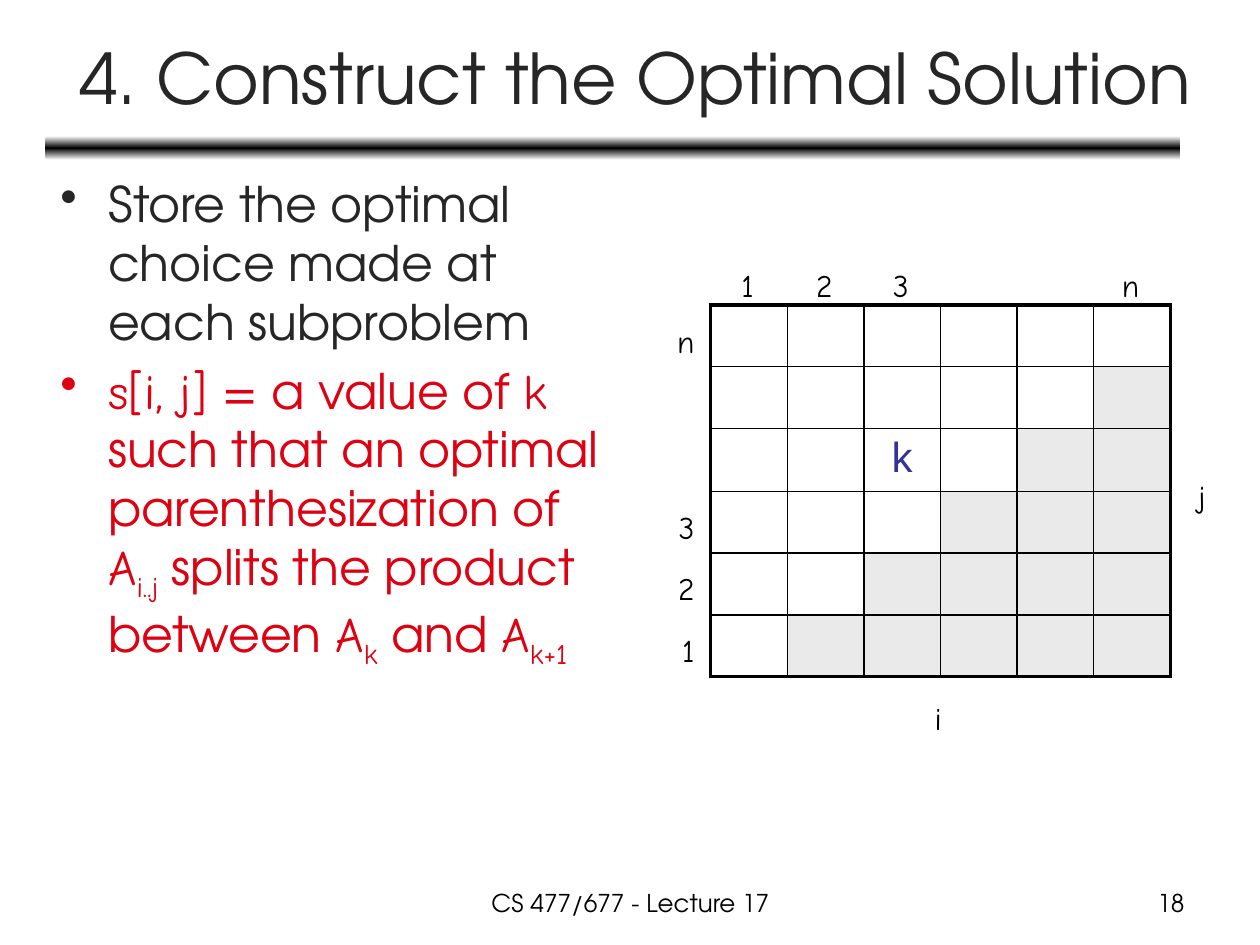
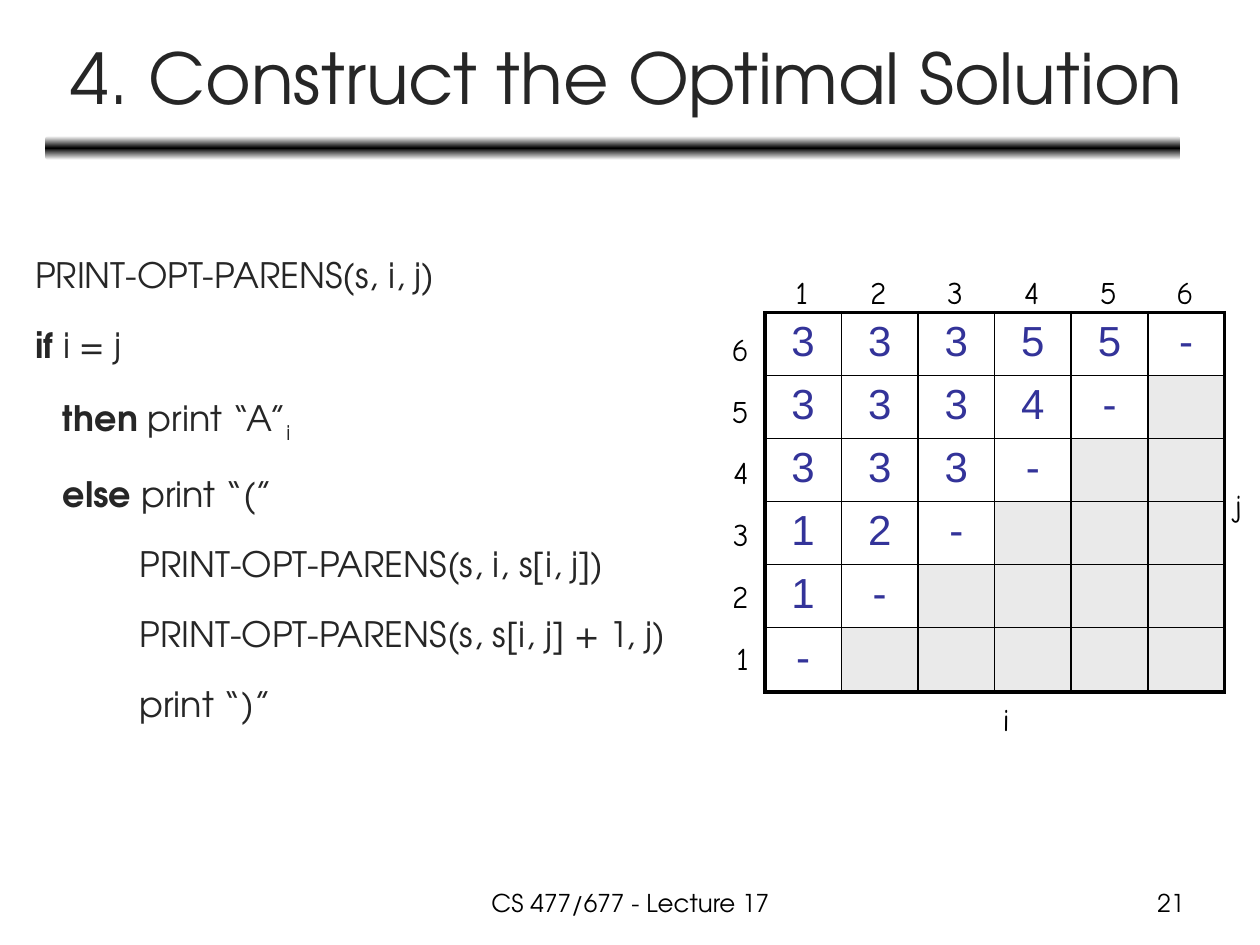
import copy
import dataclasses

import pptx
import pptx.dml.color
import pptx.enum.shapes
import pptx.enum.text
import pptx.oxml
import pptx.oxml.ns
import pptx.util

Inches = pptx.util.Inches
Pt = pptx.util.Pt
qn = pptx.oxml.ns.qn
Align = pptx.enum.text.PP_ALIGN
Anchor = pptx.enum.text.MSO_ANCHOR


@dataclasses.dataclass(frozen=True)
class Theme:
    main: str = "TeX Gyre Adventor"
    hand: str = "Comic Neue"
    plain: str = "Arial"
    ink: str = "262626"
    black: str = "000000"
    white: str = "FFFFFF"
    red: str = "DD0111"
    blue: str = "333399"
    gray: str = "EAEAEA"
    title: float = 40
    body: float = 28
    cell: float = 24
    code: float = 20
    label: float = 18
    foot: float = 14
    thick: float = 2.25
    thin: float = 1


T = Theme()
SIZE = 6
CELL_W = 0.608
CELL_H = 0.49


def rgb(code):
    return pptx.dml.color.RGBColor.from_string(code)


def add_run(para, text, font, size, color, bold=False, sub=False):
    run = para.add_run()
    run.text = text
    run.font.name = font
    run.font.size = Pt(size)
    run.font.color.rgb = rgb(color)
    run.font.bold = bold
    if sub:
        run._r.get_or_add_rPr().set("baseline", "-25000")


def add_box(slide, box):
    frame = slide.shapes.add_textbox(*map(Inches, box)).text_frame
    frame.word_wrap = True
    return frame


def add_line(slide, box, text, font, size, align):
    """Add a text box that holds one black run."""
    para = add_box(slide, box).paragraphs[0]
    para.alignment = align
    add_run(para, text, font, size, T.black)


def next_para(frame, index, gap):
    """Take the first paragraph, or add one with a gap above it."""
    if index == 0:
        return frame.paragraphs[0]
    para = frame.add_paragraph()
    para.space_before = Pt(gap)
    return para


def set_indent(para, left, first=0):
    props = para._p.get_or_add_pPr()
    props.set("marL", str(Inches(left)))
    props.set("indent", str(Inches(first)))
    return props


def add_band(slide, box):
    kind = pptx.enum.shapes.MSO_SHAPE.ROUNDED_RECTANGLE
    band = slide.shapes.add_shape(kind, *map(Inches, box))
    band.shadow.inherit = False
    band.line.fill.background()
    band.fill.gradient()
    band.fill.gradient_angle = 90
    stops = band._element.spPr.find(".//" + qn("a:gsLst"))
    stops.append(copy.deepcopy(stops[0]))
    shades = (T.white, T.black, T.white)
    for i, (stop, shade) in enumerate(zip(band.fill.gradient_stops, shades)):
        stop.position = i / 2
        stop.color.rgb = rgb(shade)


def add_page(deck, title, width, number):
    """Add a slide with its title, band and footer."""
    slide = deck.slides.add_slide(deck.slide_layouts[5])
    head = slide.shapes.title
    head.left, head.top = Inches(0.37), Inches(0.11)
    head.width, head.height = Inches(width), Inches(0.99)
    frame = head.text_frame
    frame.auto_size = pptx.enum.text.MSO_AUTO_SIZE.NONE
    frame.vertical_anchor = Anchor.MIDDLE
    frame.paragraphs[0].alignment = Align.CENTER
    add_run(frame.paragraphs[0], title, T.main, T.title, T.ink)
    add_band(slide, (0.36, 1.08, 9.01, 0.19))
    add_line(slide, (3.42, 7, 3.17, 0.35), "CS 477/677 - Lecture 17",
             T.main, T.foot, Align.CENTER)
    add_line(slide, (7.17, 7, 2.33, 0.35), str(number),
             T.main, T.foot, Align.RIGHT)
    return slide


def add_points(slide, box, points):
    """Add bullets, each a colour and its (text, font, sub) pieces."""
    frame = add_box(slide, box)
    for i, (color, pieces) in enumerate(points):
        para = next_para(frame, i, T.body * 0.2)
        props = set_indent(para, 0.38, -0.38)
        props.append(pptx.oxml.parse_xml(
            f'<a:buChar {pptx.oxml.ns.nsdecls("a")} char="•"/>'))
        for text, font, sub in pieces:
            add_run(para, text, font, T.body, color, sub=sub)


def add_code(slide, box, lines):
    """Add code lines, each an indent and its (text, style) pieces."""
    frame = add_box(slide, box)
    for i, (indent, pieces) in enumerate(lines):
        para = next_para(frame, i, T.code * 0.2)
        set_indent(para, indent)
        para.line_spacing = 1.5
        for text, style in pieces:
            add_run(para, text, T.main, T.code, T.ink,
                    bold=style == "bold", sub=style == "sub")


def set_edges(cell, row, col):
    """Draw thin cell borders, thick on the rim of the grid."""
    last = SIZE - 1
    rims = {"L": col == 0, "R": col == last, "T": row == 0, "B": row == last}
    props = cell._tc.get_or_add_tcPr()
    for side, rim in rims.items():
        width = Pt(T.thick if rim else T.thin)
        props.append(pptx.oxml.parse_xml(
            f'<a:ln{side} {pptx.oxml.ns.nsdecls("a")} w="{width}">'
            f'<a:solidFill><a:srgbClr val="{T.black}"/></a:solidFill>'
            f'</a:ln{side}>'))


def add_grid(slide, left, top, values, last=CELL_H):
    """Add the square grid, shaded below its diagonal."""
    height = CELL_H * (SIZE - 1) + last
    shape = slide.shapes.add_table(
        SIZE, SIZE, *map(Inches, (left, top, CELL_W * SIZE, height)))
    table = shape.table
    table.first_row = table.horz_banding = False
    for col in table.columns:
        col.width = Inches(CELL_W)
    for row in table.rows:
        row.height = Inches(CELL_H)
    table.rows[SIZE - 1].height = Inches(last)
    for row in range(SIZE):
        for col in range(SIZE):
            cell = table.cell(row, col)
            set_edges(cell, row, col)
            if row + col >= SIZE:
                cell.fill.solid()
                cell.fill.fore_color.rgb = rgb(T.gray)
            else:
                cell.fill.background()
            if (row, col) in values:
                para = cell.text_frame.paragraphs[0]
                para.alignment = Align.CENTER
                add_run(para, values[row, col], T.plain, T.cell, T.blue)


def add_marks(slide, left, top, marks, i_at, j_at):
    """Number the columns and rows of the grid and name its axes."""
    wide, high = 0.35, 0.4

    def mark(text, x, y, align):
        add_line(slide, (left + x, top + y, wide, high), text,
                 T.hand, T.label, align)

    for n, text in marks.items():
        mark(text, (n - 0.5) * CELL_W - wide / 2 - 0.01, -0.36, Align.CENTER)
        mark(text, -0.38, 0.09 + (SIZE - n) * CELL_H, Align.RIGHT)
    mark("i", *i_at, Align.LEFT)
    mark("j", *j_at, Align.LEFT)


def choice_slide(deck, title):
    slide = add_page(deck, title, 9.34, 18)
    main, hand = T.main, T.hand
    add_points(slide, (0.38, 1.33, 4.55, 5.55), [
        (T.ink, [("Store the optimal choice made at each subproblem",
                  main, False)]),
        (T.red, [("s[i, j] ", hand, False), ("= a value of ", main, False),
                 ("k", hand, False),
                 (" such that an optimal parenthesization of ", main, False),
                 ("A", hand, False), ("i..j", hand, True),
                 (" splits the product between ", main, False),
                 ("A", hand, False), ("k", hand, True),
                 (" and ", main, False),
                 ("A", hand, False), ("k+1", hand, True)]),
    ])
    left, top = 5.64, 2.42
    add_grid(slide, left, top, {(2, 2): "k"})
    add_marks(slide, left, top, {1: "1", 2: "2", 3: "3", SIZE: "n"},
              (1.68, 3.08), (3.77, 1.32))


def print_slide(deck, title):
    slide = add_page(deck, title, 9.21, 21)
    left, top = 6.07, 2.48
    rows = ("33355-", "3334-", "333-", "12-", "1-", "-")
    values = {(r, c): text for r, row in enumerate(rows)
              for c, text in enumerate(row)}
    add_grid(slide, left, top, values, last=0.51)
    add_marks(slide, left, top, {n: str(n) for n in range(1, SIZE + 1)},
              (1.79, 3.03), (3.63, 1.33))
    step, deep = 0.22, 0.83
    add_code(slide, (0.18, 1.8, 8, 5.23), [
        (0, [("PRINT-OPT-PARENS(s, i, j)", "")]),
        (0, [("if ", "bold"), ("i = j", "")]),
        (step, [("then", "bold"), (" print “A”", ""), ("i", "sub")]),
        (step, [("else", "bold"), (" print “(”", "")]),
        (deep, [("PRINT-OPT-PARENS(s, i, s[i, j])", "")]),
        (deep, [("PRINT-OPT-PARENS(s, s[i, j] + 1, j)", "")]),
        (deep, [("print “)”", "")]),
    ])


def main():
    deck = pptx.Presentation()
    deck.slide_width, deck.slide_height = Inches(10), Inches(7.5)
    title = "4. Construct the Optimal Solution"
    choice_slide(deck, title)
    print_slide(deck, title)
    deck.save("out.pptx")


if __name__ == "__main__":
    main()
